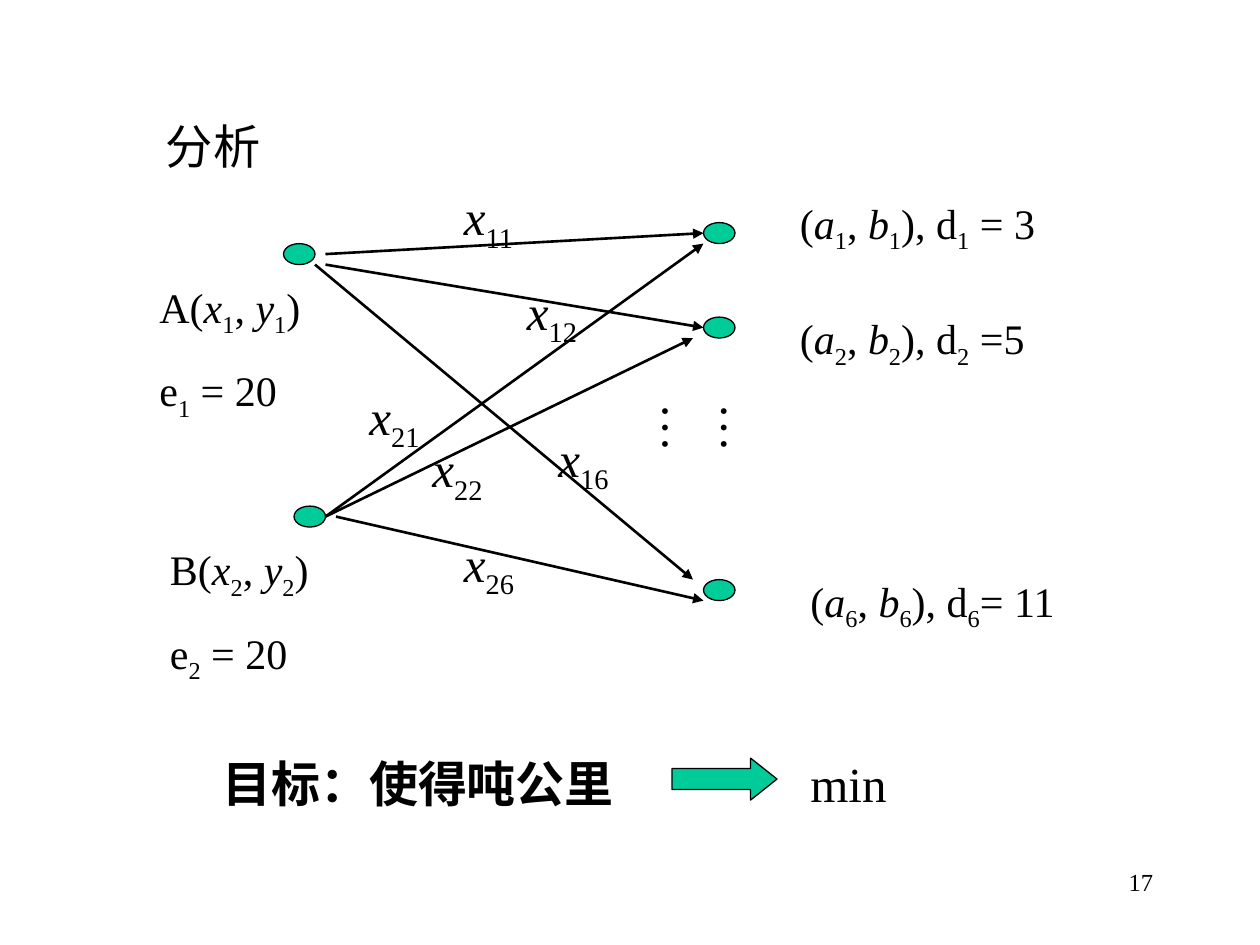
import dataclasses
import pptx
import pptx.dml.color
import pptx.enum.shapes
import pptx.enum.text
import pptx.oxml
import pptx.oxml.ns
import pptx.util

EMU_PER_PX = 7620  # 120 px to the inch
SHAPES = pptx.enum.shapes.MSO_SHAPE
ALIGN = pptx.enum.text.PP_ALIGN
ANCHOR = pptx.enum.text.MSO_ANCHOR
FIT = pptx.enum.text.MSO_AUTO_SIZE


@dataclasses.dataclass(frozen=True)
class Theme:
    font: str = "Times New Roman"
    ink: str = "000000"
    accent: str = "00CC99"
    title_size: int = 27
    large_size: int = 28
    label_size: int = 24
    number_size: int = 14
    outline: float = 0.75
    route: float = 1.5


THEME = Theme()


def px(length):
    return pptx.util.Emu(length * EMU_PER_PX)


def color(value):
    return pptx.dml.color.RGBColor.from_string(value)


def inside(box, left, top, width, height):
    return box[0] + left, box[1] + top, width, height


def add_span(para, text, size, style=""):
    """Style letters: i italic, b bold, s subscript."""
    span = para.add_run()
    span.text = text
    span.font.name = THEME.font
    span.font.size = pptx.util.Pt(size)
    span.font.color.rgb = color(THEME.ink)
    span.font.bold = "b" in style
    span.font.italic = "i" in style
    if "s" in style:
        span.font._element.set("baseline", "-25000")


def add_text(shapes, box, paragraphs, size, align=ALIGN.LEFT):
    """Each paragraph is a list of (text, style) pairs."""
    text_box = shapes.add_textbox(*map(px, box))
    frame = text_box.text_frame
    frame.word_wrap = True
    for index, spans in enumerate(paragraphs):
        para = frame.paragraphs[0] if index == 0 else frame.add_paragraph()
        para.alignment = align
        if index:
            para.space_before = pptx.util.Pt(15)
        for text, style in spans:
            add_span(para, text, size, style)
    return text_box


def add_solid(shapes, kind, box):
    shape = shapes.add_shape(kind, *map(px, box))
    shape.shadow.inherit = False
    shape.fill.solid()
    shape.fill.fore_color.rgb = color(THEME.accent)
    shape.line.color.rgb = color(THEME.ink)
    shape.line.width = pptx.util.Pt(THEME.outline)
    return shape


def add_route(shapes, box, start, end):
    ends = (box[0] + start[0], box[1] + start[1], box[0] + end[0], box[1] + end[1])
    route = shapes.add_connector(pptx.enum.shapes.MSO_CONNECTOR.STRAIGHT, *map(px, ends))
    route.line.color.rgb = color(THEME.ink)
    route.line.width = pptx.util.Pt(THEME.route)
    head = pptx.oxml.parse_xml(
        f'<a:tailEnd {pptx.oxml.ns.nsdecls("a")} type="triangle"/>')
    route.line._get_or_add_ln().append(head)
    route._element.spPr.append(
        pptx.oxml.parse_xml(f'<a:effectLst {pptx.oxml.ns.nsdecls("a")}/>'))


def coordinate_spans(opening, first, second, index, closing):
    """Spans of a point such as A(x1, y1), with subscript indices."""
    return [(opening, ""), (first, "i"), (index, "s"), (", ", ""),
            (second, "i"), (index, "s"), (closing, "")]


def place_title(page, box):
    title = page.shapes.title
    title.left, title.top, title.width, title.height = map(px, box)
    frame = title.text_frame
    frame.auto_size = FIT.NONE
    frame.vertical_anchor = ANCHOR.MIDDLE
    para = frame.paragraphs[0]
    para.alignment = ALIGN.LEFT
    add_span(para, "分析", THEME.title_size)


def place_network(page, box):
    shapes = page.shapes
    for left, top in ((130, 60), (140, 310), (530, 40), (530, 130), (530, 380)):
        add_solid(shapes, SHAPES.OVAL, inside(box, left, top, 30, 20))

    for left, top, index, demand in (
            (610, 10, "1", " = 3"), (610, 120, "2", " =5"), (620, 370, "6", "= 11")):
        spans = coordinate_spans("(", "a", "b", index, "), d")
        spans += [(index, "s"), (demand, "")]
        add_text(shapes, inside(box, left, top, 290, 67), [spans], THEME.label_size)

    for left, top, name, index in ((0, 90, "A", "1"), (10, 340, "B", "2")):
        point = coordinate_spans(name + "(", "x", "y", index, ")")
        supply = [("e", ""), (index, "s"), (" = 20", "")]
        add_text(shapes, inside(box, left, top, 200, 146), [point, supply],
                 THEME.label_size)

    for start, end in (
            ((170, 70), (530, 50)), ((170, 80), (530, 140)), ((160, 80), (520, 380)),
            ((170, 320), (530, 60)), ((170, 320), (520, 150)), ((180, 320), (530, 400))):
        add_route(shapes, box, start, end)

    for left, top, index in (
            (290, 0, "11"), (350, 90, "12"), (380, 230, "16"),
            (200, 190, "21"), (260, 240, "22"), (290, 330, "26")):
        add_text(shapes, inside(box, left, top, 100, 76),
                 [[("x", "i"), (index, "s")]], THEME.large_size)

    dots = add_text(shapes, inside(box, 465, 200, 135, 100), [[("……", "")]],
                    THEME.large_size)
    frame = dots.text_frame
    frame.margin_left = frame.margin_right = px(6)
    frame.margin_top = frame.margin_bottom = px(12)
    frame._txBody.bodyPr.set("vert", "eaVert")


def place_goal(page, box):
    shapes = page.shapes.add_group_shape().shapes
    add_text(shapes, inside(box, 0, 0, 410, 68), [[("目标：使得吨公里", "b")]],
             THEME.large_size)
    arrow = add_solid(shapes, SHAPES.RIGHT_ARROW, inside(box, 440, 10, 100, 40))
    arrow.adjustments[0] = 0.5
    arrow.adjustments[1] = 0.63
    add_text(shapes, inside(box, 560, 0, 260, 68), [[("min", "")]], THEME.large_size)


def place_page_number(page, box):
    add_text(page.shapes, box, [[("17", "")]], THEME.number_size, ALIGN.RIGHT)


def main():
    deck = pptx.Presentation()
    deck.slide_width, deck.slide_height = px(1200), px(900)
    page = deck.slides.add_slide(deck.slide_layouts[5])
    place_network(page, (140, 172, 910, 490))
    place_goal(page, (200, 712, 820, 68))
    place_title(page, (146, 104, 256, 70))
    place_page_number(page, (860, 820, 250, 60))
    deck.save("out.pptx")


if __name__ == "__main__":
    main()
